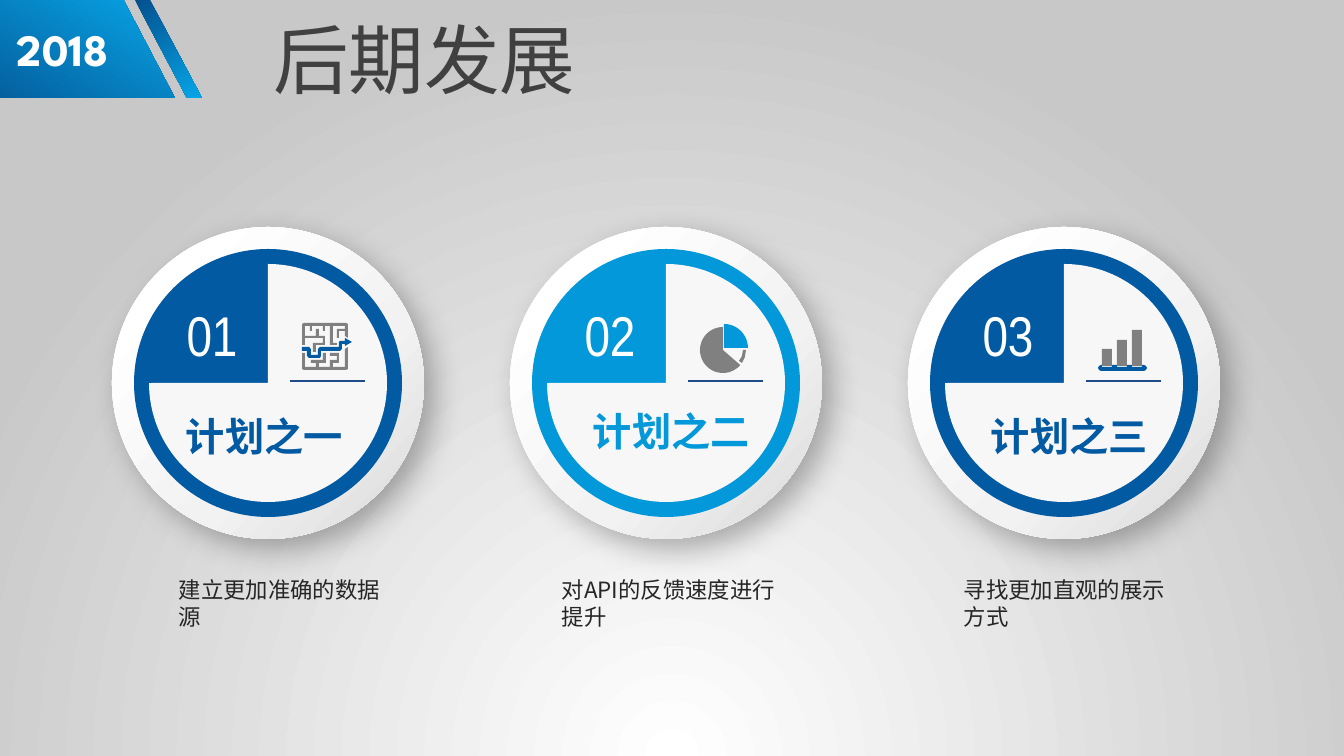
from lxml.etree import SubElement
from pptx import Presentation
from pptx.dml.color import RGBColor
from pptx.enum.shapes import MSO_CONNECTOR, MSO_SHAPE
from pptx.enum.text import MSO_ANCHOR, MSO_AUTO_SIZE, PP_ALIGN
from pptx.oxml.ns import qn
from pptx.util import Pt

PX = 914400 / 100.8
NAVY, SKY, GRAY, WHITE = "025AA2", "0298DA", "808080", "FFFFFF"
CJK, NUMERALS, DISPLAY = "Noto Sans CJK SC", "Arial Narrow", "League Spartan"
RIBBON = [(0, "05508F"), (98, "06A4E5")]
RIM = [(0, WHITE), (100, "D9D9D9")]
DISC = [(16, WHITE), (62, "F2F2F2"), (100, "D9D9D9")]

MAZE_TOP = """43,3 31,3 31,20 35,20 35,22 28,22 28,3 23,3 23,8 21,8 21,3 10,3 10,8 8,8 8,3
3,3 3,13 14,13 14,6 17,6 17,13 23,13 23,22 14,22 14,29 11,29 11,20 21,20 21,15 3,15
3,22 0,22 0,1 2,0 44,0 46,1 46,15 43,13 43,8 37,8 37,15 35,15 35,6 43,6"""
MAZE_BOTTOM = """10,40 9,40 9,37 21,37 21,30 24,30 24,40 17,40 17,44 28,44 28,37 35,37 35,33
28,33 28,30 37,30 37,40 31,40 31,44 43,44 43,26 46,24 46,46 44,47 2,47 0,46 0,30 3,30
3,44 14,44 14,40"""
MAZE_ROUTE = """43,21 40,21 40,26 38,28 19,28 19,33 18,35 7,35 5,33 5,28 0,28 0,24 7,24 9,26
9,32 16,32 16,26 18,24 37,24 37,19 38,18 43,18 43,15 50,19 43,23"""
PIE_SLIVER = "39,38 42,40 45,34 46,27 43,27 42,33"
BAR_BASE = """46,42 44,42 44,44 34,44 34,42 29,42 29,44 19,44 19,42 14,42 14,44 4,44 4,42
3,42 1,43 0,45 1,47 3,48 46,48 48,47 49,45 48,43"""


def px(length):
    return round(length * PX)


def rgb(code):
    return RGBColor.from_string(code)


def add_gradient(fill, holder, stops, angle=None):
    fill.solid()
    solid = holder.find(qn("a:solidFill"))
    gradient = solid.makeelement(qn("a:gradFill"), {"rotWithShape": "1"})
    holder.replace(solid, gradient)
    stop_list = SubElement(gradient, qn("a:gsLst"))
    for position, code in stops:
        stop = SubElement(stop_list, qn("a:gs"), pos=str(position * 1000))
        SubElement(stop, qn("a:srgbClr"), val=code)
    if angle is None:
        radial = SubElement(gradient, qn("a:path"), path="circle")
        SubElement(radial, qn("a:fillToRect"), l="50000", t="130000", r="50000", b="-30000")
    else:
        SubElement(gradient, qn("a:lin"), ang=str(angle * 60000), scaled="0")


class Deck:
    def __init__(self):
        self.presentation = Presentation()
        self.presentation.slide_width = px(1344)
        self.presentation.slide_height = px(756)
        self.slide = self.presentation.slides.add_slide(self.presentation.slide_layouts[5])
        self.shapes = self.slide.shapes

    def background(self, stops):
        fill = self.slide.background.fill
        fill.solid()
        add_gradient(fill, self.slide.element.find(".//" + qn("p:bgPr")), stops)

    def paint(self, shape, fill, angle):
        shape.shadow.inherit = False
        shape.line.fill.background()
        if isinstance(fill, str):
            shape.fill.solid()
            shape.fill.fore_color.rgb = rgb(fill)
        else:
            add_gradient(shape.fill, shape.element.spPr, fill, angle)
        return shape

    def preset(self, kind, left, top, width, height, fill, angle=45):
        shape = self.shapes.add_shape(kind, px(left), px(top), px(width), px(height))
        return self.paint(shape, fill, angle)

    def disc(self, left, top, size, fill):
        return self.preset(MSO_SHAPE.OVAL, left, top, size, size, fill)

    def sector(self, left, top, size, start, end, fill):
        wedge = self.preset(MSO_SHAPE.PIE, left, top, size, size, fill)
        wedge.adjustments[0] = start * 0.6
        wedge.adjustments[1] = end * 0.6

    def outline(self, left, top, contours, fill, angle=45):
        builder = None
        for contour in contours:
            points = [tuple(map(int, pair.split(","))) for pair in contour.split()]
            if builder is None:
                builder = self.shapes.build_freeform(*points[0], scale=PX)
            else:
                builder.move_to(*points[0])
            builder.add_line_segments(points[1:], close=True)
        return self.paint(builder.convert_to_shape(px(left), px(top)), fill, angle)

    def drop_shadow(self, shape):
        effects = shape.element.spPr.find(qn("a:effectLst"))
        shadow = SubElement(effects, qn("a:outerShdw"), blurRad=str(Pt(22)), dist=str(Pt(10)),
                            dir="2700000", algn="tl", rotWithShape="0")
        tint = SubElement(shadow, qn("a:srgbClr"), val="000000")
        SubElement(tint, qn("a:alpha"), val="30000")

    def rule(self, left, right, top, code):
        line = self.shapes.add_connector(MSO_CONNECTOR.STRAIGHT, px(left), px(top), px(right), px(top))
        line.line.color.rgb = rgb(code)
        line.line.width = Pt(1.25)
        SubElement(line.element.spPr, qn("a:effectLst"))

    def set_wording(self, box, wording, size, font, code, bold=False, align=PP_ALIGN.LEFT, wrap=False):
        frame = box.text_frame
        frame.text = wording
        frame.word_wrap = wrap
        frame.auto_size = MSO_AUTO_SIZE.SHAPE_TO_FIT_TEXT
        frame.vertical_anchor = MSO_ANCHOR.TOP
        paragraph = frame.paragraphs[0]
        paragraph.alignment = align
        for run in paragraph.runs:
            run.font.size = Pt(size)
            run.font.bold = bold
            run.font.name = font
            run.font.color.rgb = rgb(code)
        for properties in box.element.iter(qn("a:rPr")):
            SubElement(properties, qn("a:ea"), typeface=font)

    def text(self, left, top, width, height, *style, **options):
        box = self.shapes.add_textbox(px(left), px(top), px(width), px(height))
        self.set_wording(box, *style, **options)

    def title(self, left, top, width, height, *style):
        heading = self.shapes.title
        heading.left, heading.top = px(left), px(top)
        heading.width, heading.height = px(width), px(height)
        self.set_wording(heading, *style)


def draw_maze(deck, left, top):
    deck.outline(left, top, [MAZE_ROUTE], NAVY)
    deck.outline(left, top, [MAZE_TOP, MAZE_BOTTOM], GRAY)


def draw_pie(deck, left, top):
    deck.outline(left, top, [PIE_SLIVER], GRAY)
    deck.sector(left, top + 1, 48, 270, 0, SKY)
    deck.sector(left, top + 4, 46, 41, 270, GRAY)


def draw_bars(deck, left, top):
    deck.outline(left, top, [BAR_BASE], NAVY)
    for offset, height in ((34, 36), (19, 26), (4, 17)):
        deck.preset(MSO_SHAPE.RECTANGLE, left + offset, top + 43 - height, 10, height, GRAY)


def draw_plan(deck, left, top, number, accent, draw_icon):
    deck.drop_shadow(deck.disc(left, top, 312, RIM))
    deck.disc(left, top, 312, DISC)
    deck.disc(left + 22, top + 22, 268, accent)
    deck.sector(left + 37, top + 37, 238, 270, 180, "F7F7F7")
    deck.text(left + 43, top + 69, 114, 78, number, 40, NUMERALS, WHITE,
              align=PP_ALIGN.CENTER, wrap=True)
    deck.rule(left + 178, left + 253, top + 154, "1E4C8B")
    draw_icon(deck, left + 190, top + 96)


def main():
    deck = Deck()
    deck.background([(0, WHITE), (100, "C8C8C8")])
    banner = deck.preset(MSO_SHAPE.PARALLELOGRAM, -79, 0, 254, 98, RIBBON, 60)
    banner.adjustments[0] = 0.525
    banner.element.spPr.find(qn("a:xfrm")).set("flipV", "1")
    deck.outline(135, 0, ["0,0 15,0 67,98 52,98"], RIBBON, 60)
    deck.text(7, 17, 128, 65, "2018", 32, DISPLAY, WHITE, bold=True)
    deck.title(263, 8, 326, 102, "后期发展", 54, CJK, "404040")

    plans = [
        ("计划之一", 176, 407, "建立更加准确的数据源", 169, NAVY, draw_maze),
        ("计划之二", 583, 402, "对API的反馈速度进行提升", 552, SKY, draw_pie),
        ("计划之三", 981, 407, "寻找更加直观的展示方式", 954, NAVY, draw_bars),
    ]
    for index, (name, name_left, name_top, goal, goal_left, accent, draw_icon) in enumerate(plans):
        draw_plan(deck, 112 + 398 * index, 227, f"{index + 1:02}", accent, draw_icon)
        deck.text(name_left, name_top, 179, 57, name, 28, CJK, accent, bold=True)
        deck.text(goal_left, 571, 233, 65, goal, 16, CJK, "262626", wrap=True)

    deck.presentation.save("out.pptx")


if __name__ == "__main__":
    main()
